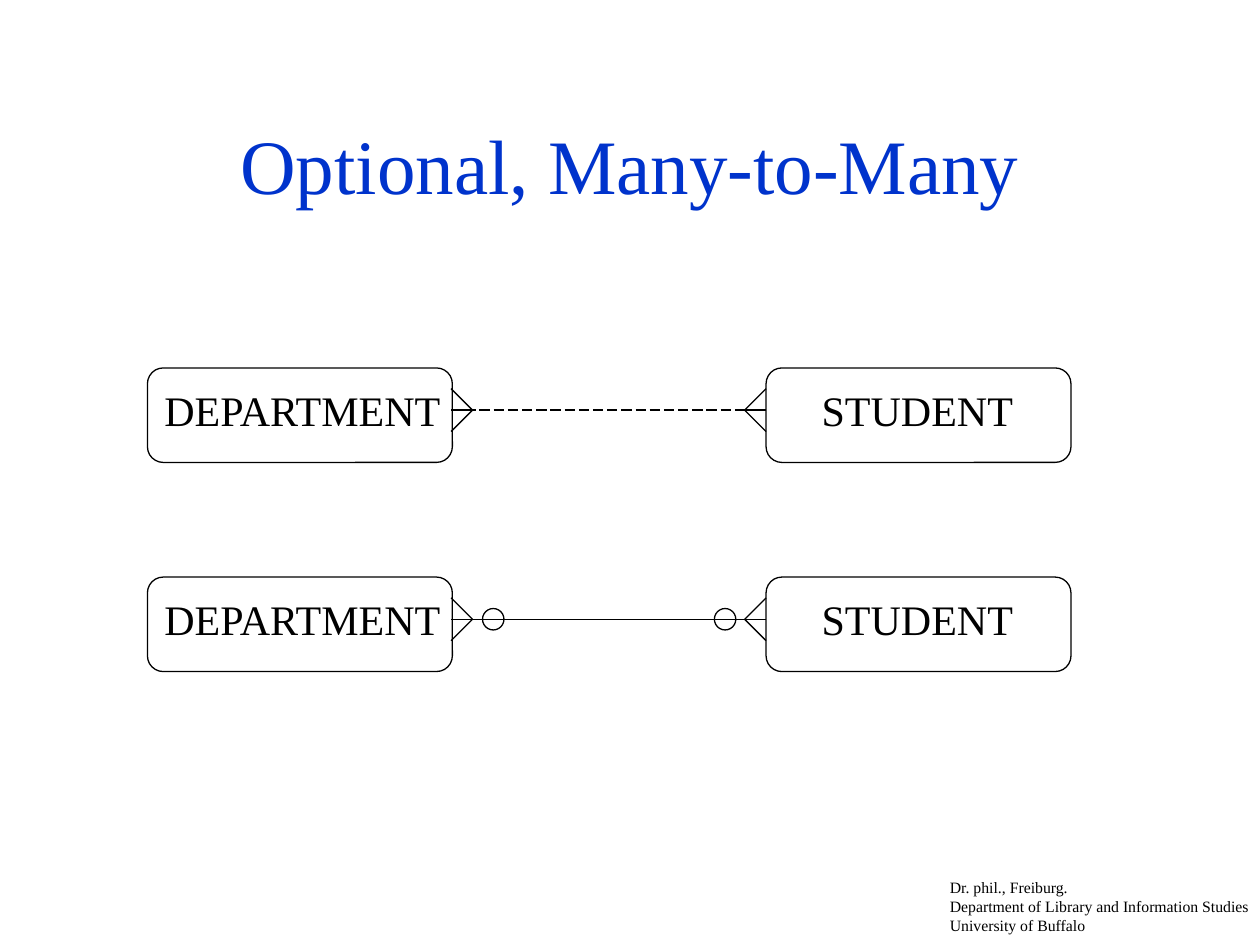
"""Build a slide showing optional many-to-many links in two notations."""
import pptx
import pptx.dml.color
import pptx.enum.dml
import pptx.enum.shapes
import pptx.enum.text
import pptx.oxml.ns
import pptx.util
import lxml.etree

Inches = pptx.util.Inches
SHAPE = pptx.enum.shapes.MSO_SHAPE
ALIGN = pptx.enum.text.PP_ALIGN
ANCHOR = pptx.enum.text.MSO_ANCHOR

COLORS = {"ink": "000000", "title": "0033CC"}
FONT = "Times New Roman"
TITLE = ["Optional, Many-to-Many"]
CREDIT = [
    "Dr. phil., Freiburg.",
    "Department of Library and Information Studies",
    "University of Buffalo",
]
ENTITIES = [
    {"name": "DEPARTMENT", "left": 1.17, "label": (1.18, 2.44)},
    {"name": "STUDENT", "left": 6.08, "label": (6.42, 1.72)},
]
ROWS = [
    {"top": 4.58, "dashed": False, "rings": True},
    {"top": 2.92, "dashed": True, "rings": False},
]
WIDTH, HEIGHT = 2.42, 0.75
START, END = 3.58, 6.08
FOOT = 0.17
RINGS = [3.83, 5.67]


def rgb(key):
    return pptx.dml.color.RGBColor.from_string(COLORS[key])


def add_text(shapes, lines, at, size, color="ink", align=ALIGN.LEFT,
             anchor=ANCHOR.TOP, wrap=True):
    box = shapes.add_textbox(*map(Inches, at))
    frame = box.text_frame
    frame.word_wrap = wrap
    frame.vertical_anchor = anchor
    para = frame.paragraphs[0]
    para.alignment = align
    for i, line in enumerate(lines):
        if i:
            para.add_line_break()
        run = para.add_run()
        run.text = line
        run.font.size = pptx.util.Pt(size)
        run.font.name = FONT
        run.font.color.rgb = rgb(color)


def set_line(shape):
    shape.line.color.rgb = rgb("ink")
    shape.line.width = pptx.util.Pt(0.75)


def add_outline(shapes, kind, at):
    shape = shapes.add_shape(kind, *map(Inches, at))
    shape.shadow.inherit = False
    shape.fill.background()
    set_line(shape)
    return shape


def add_line(shapes, x1, y1, x2, y2, dashed=False):
    line = shapes.add_connector(
        pptx.enum.shapes.MSO_CONNECTOR.STRAIGHT,
        *map(Inches, (x1, y1, x2, y2)))
    set_line(line)
    if dashed:
        line.line.dash_style = pptx.enum.dml.MSO_LINE.LONG_DASH
    lxml.etree.SubElement(line._element.spPr,
                          pptx.oxml.ns.qn("a:effectLst"))


def add_row(slide, row):
    shapes = slide.shapes.add_group_shape().shapes
    top = row["top"]
    mid = top + HEIGHT / 2 - 0.04
    for entity in ENTITIES:
        box = add_outline(shapes, SHAPE.ROUNDED_RECTANGLE,
                          (entity["left"], top, WIDTH, HEIGHT))
        box.adjustments[0] = 0.167
    for entity in ENTITIES:
        left, width = entity["label"]
        add_text(shapes, [entity["name"]], (left, top + 0.08, width, 0.5),
                 24, align=ALIGN.CENTER, wrap=False)
    add_line(shapes, START, mid, END, mid, row["dashed"])
    for edge, tip in ((START, START + FOOT), (END, END - FOOT)):
        for shift in (-FOOT, FOOT):
            add_line(shapes, edge, mid + shift, tip, mid)
        if row["dashed"]:
            add_line(shapes, edge, mid, tip, mid)
    if row["rings"]:
        for left in RINGS:
            add_outline(shapes, SHAPE.OVAL,
                        (left, mid - FOOT / 2, FOOT, FOOT))


def main():
    deck = pptx.Presentation()
    deck.slide_width, deck.slide_height = Inches(10), Inches(7.5)
    slide = deck.slides.add_slide(deck.slide_layouts[6])
    add_text(slide.shapes, CREDIT, (7.44, 6.92, 3.8, 0.71), 9)
    add_text(slide.shapes, TITLE, (0.75, 0.67, 8.5, 1.25), 44,
             color="title", align=ALIGN.CENTER, anchor=ANCHOR.MIDDLE)
    for row in ROWS:
        add_row(slide, row)
    deck.save("out.pptx")


if __name__ == "__main__":
    main()
